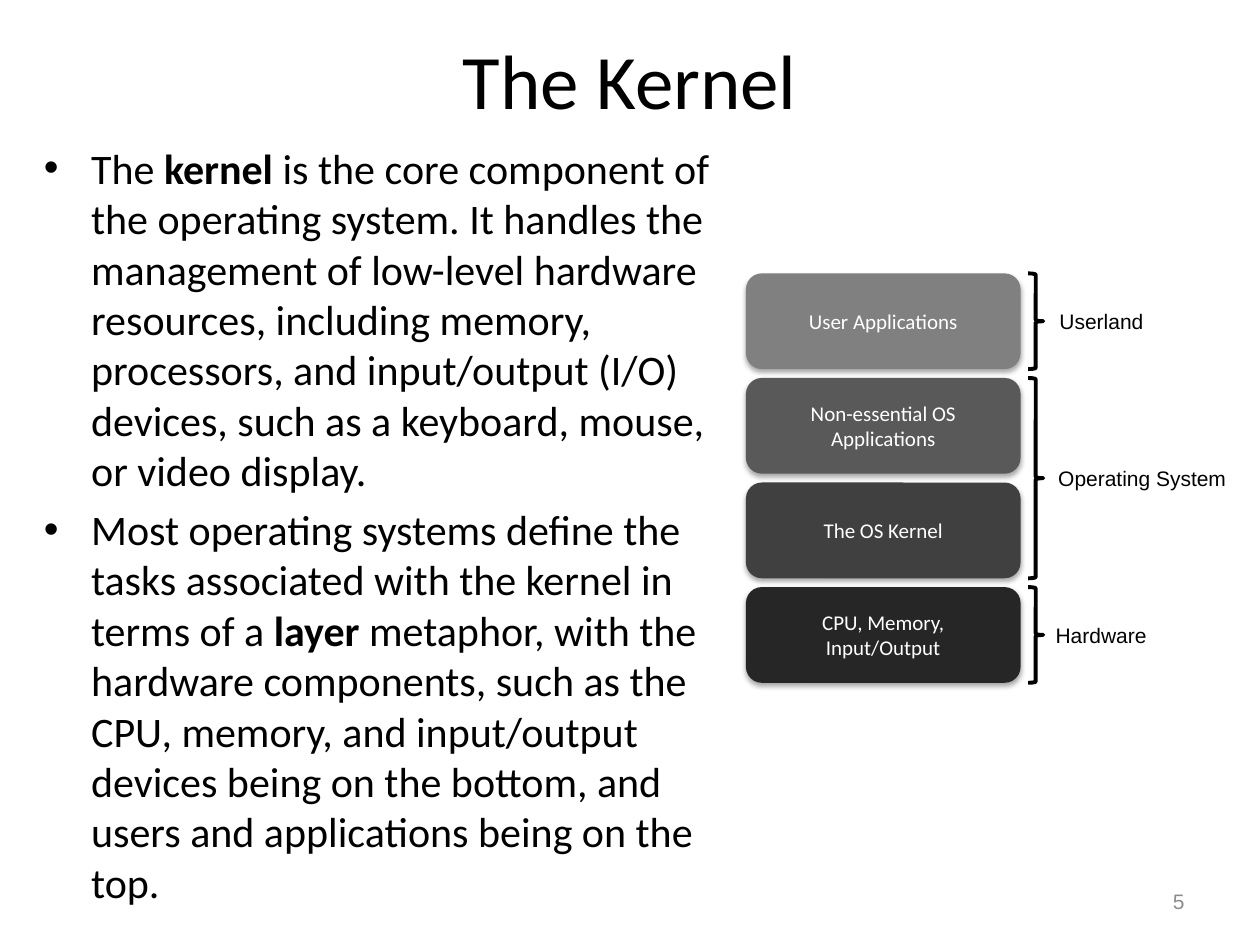
import pptx
import pptx.util
import pptx.dml.color
import pptx.enum.shapes
import pptx.enum.text
import pptx.oxml
import pptx.oxml.ns

COLORS = {"text": "000000", "page": "8C8C8C", "light": "FFFFFF", "apps": "808080",
          "tools": "595959", "kernel": "404040", "hardware": "262626"}
SHAPE = pptx.enum.shapes.MSO_SHAPE
ALIGN = pptx.enum.text.PP_ALIGN
MIDDLE = pptx.enum.text.MSO_ANCHOR.MIDDLE
NS = pptx.oxml.ns.nsdecls("a")
SHADOW = (f'<a:outerShdw {NS} blurRad="39370" dist="22860" dir="5400000" rotWithShape="0">'
          '<a:srgbClr val="000000"><a:alpha val="35000"/></a:srgbClr></a:outerShdw>')

ROW_TOP, ROW_PITCH, ROW_HEIGHT = 2.17, 0.83, 0.76
LAYER_LEFT, LAYER_WIDTH = 5.92, 2.18
BRACE_LEFT, BRACE_WIDTH = 8.16, 0.12
LABEL_HEIGHT = 0.34

LAYERS = [("User Applications", "apps"), ("Non-essential OS Applications", "tools"),
          ("The OS Kernel", "kernel"), ("CPU, Memory, Input/Output", "hardware")]
GROUPS = [("Userland", 0, 1, 8.31, 0.88), ("Operating System", 1, 2, 8.3, 1.62),
          ("Hardware", 3, 1, 8.28, 0.94)]
BULLETS = [
    [("The ", False), ("kernel ", True),
     ("is the core component of the operating system. It handles the management of "
      "low-level hardware resources, including memory, processors, and input/output "
      "(I/O) devices, such as a keyboard, mouse, or video display.", False)],
    [("Most operating systems define the tasks associated with the kernel in terms of a ",
      False), ("layer ", True),
     ("metaphor, with the hardware components, such as the CPU, memory, and input/output "
      "devices being on the bottom, and users and applications being on the top.", False)],
]


class Deck:
    def __init__(self, width, height):
        self.prs = pptx.Presentation()
        self.prs.slide_width = pptx.util.Inches(width)
        self.prs.slide_height = pptx.util.Inches(height)
        self.s = self.prs.slides.add_slide(self.prs.slide_layouts[6])

    def color(self, name):
        return pptx.dml.color.RGBColor.from_string(COLORS[name])

    def box(self, *at):
        return [pptx.util.Inches(v) for v in at]

    def rows(self, first, count):
        return ROW_TOP + first * ROW_PITCH, (count - 1) * ROW_PITCH + ROW_HEIGHT

    def style(self, r, size, font, color, bold=False):
        r.font.size = pptx.util.Pt(size)
        r.font.name = font
        r.font.bold = bold
        r.font.color.rgb = self.color(color)

    def fill_text(self, tf, text, size, font, color="text", align=ALIGN.LEFT):
        tf.text = text
        p = tf.paragraphs[0]
        p.alignment = align
        self.style(p.runs[0], size, font, color)

    def text(self, at, text, size, font, color="text", align=ALIGN.LEFT, wrap=True):
        tf = self.s.shapes.add_textbox(*self.box(*at)).text_frame
        tf.word_wrap = wrap
        tf.vertical_anchor = MIDDLE
        self.fill_text(tf, text, size, font, color, align)

    def bullets(self, at, items):
        tf = self.s.shapes.add_textbox(*self.box(*at)).text_frame
        tf.word_wrap = True
        for i, parts in enumerate(items):
            p = tf.add_paragraph() if i else tf.paragraphs[0]
            if i:
                p.space_before = pptx.util.Pt(4.8)
            pPr = p._p.get_or_add_pPr()
            pPr.set("marL", "342900")
            pPr.set("indent", "-342900")
            pPr.append(pptx.oxml.parse_xml(f'<a:buFont {NS} typeface="Arial"/>'))
            pPr.append(pptx.oxml.parse_xml(f'<a:buChar {NS} char="•"/>'))
            for text, bold in parts:
                r = p.add_run()
                r.text = text
                self.style(r, 24, "Calibri", "text", bold)

    def layer(self, row, text, fill):
        top, height = self.rows(row, 1)
        sp = self.s.shapes.add_shape(SHAPE.ROUNDED_RECTANGLE,
                                     *self.box(LAYER_LEFT, top, LAYER_WIDTH, height))
        sp.fill.solid()
        sp.fill.fore_color.rgb = self.color(fill)
        sp.line.fill.background()
        sp.shadow.inherit = False
        effects = sp._element.spPr.find(pptx.oxml.ns.qn("a:effectLst"))
        effects.append(pptx.oxml.parse_xml(SHADOW))
        tf = sp.text_frame
        tf.word_wrap = True
        tf.vertical_anchor = MIDDLE
        self.fill_text(tf, text, 12, "Calibri", "light", ALIGN.CENTER)

    def group(self, text, first, count, left, width):
        top, height = self.rows(first, count)
        sp = self.s.shapes.add_shape(SHAPE.RIGHT_BRACE,
                                     *self.box(BRACE_LEFT, top, BRACE_WIDTH, height))
        sp.fill.background()
        sp.line.color.rgb = self.color("text")
        sp.line.width = pptx.util.Pt(2.25)
        sp.shadow.inherit = False
        label_top = top + (height - LABEL_HEIGHT) / 2
        self.text((left, label_top, width, LABEL_HEIGHT), text, 12, "Arial", wrap=False)


def main():
    deck = Deck(10, 7.5)
    deck.text((0.5, 0, 9, 1.25), "The Kernel", 44, "Calibri", align=ALIGN.CENTER)
    deck.bullets((0.25, 1.08, 5.67, 6.08), BULLETS)
    deck.text((7.17, 6.95, 2.33, 0.4), "5", 12, "Arial", "page", ALIGN.RIGHT)
    for row, (text, fill) in enumerate(LAYERS):
        deck.layer(row, text, fill)
    for group in GROUPS:
        deck.group(*group)
    deck.prs.save("out.pptx")


if __name__ == "__main__":
    main()
